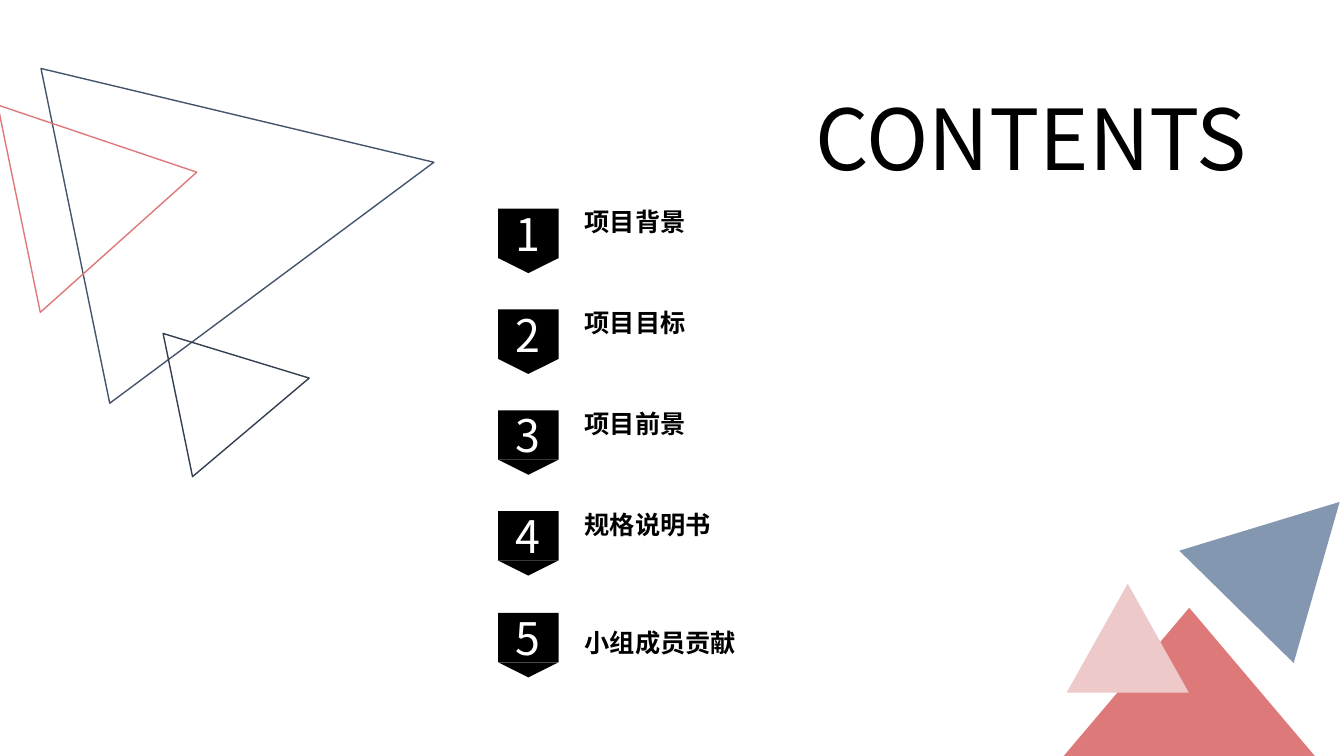
import pptx
import pptx.util
import pptx.dml.color
import pptx.enum.shapes
import pptx.enum.text
import pptx.oxml.ns
import lxml.etree

Inches = pptx.util.Inches
Align = pptx.enum.text.PP_ALIGN
Anchor = pptx.enum.text.MSO_ANCHOR
Preset = pptx.enum.shapes.MSO_SHAPE

COLOURS = {
    "black": "000000",
    "white": "FFFFFF",
    "slate": "44546A",
    "navy": "333F50",
    "coral": "DD7979",
    "pink": "EDC9C9",
    "blue": "8497B0",
}


class ContentsPage:
    font = "Noto Sans CJK SC"

    def __init__(self, deck):
        self.page = deck.slides.add_slide(deck.slide_layouts[6])

    def colour(self, name):
        return pptx.dml.color.RGBColor.from_string(COLOURS[name])

    def set_text(self, frame, text, size, colour, align, bold=False, spacing=None):
        para = frame.paragraphs[0]
        para.text = text
        para.alignment = align
        para.line_spacing = spacing
        para.font.name = self.font
        para.font.size = pptx.util.Pt(size)
        para.font.bold = bold
        para.font.color.rgb = self.colour(colour)
        # Chinese glyphs take the East Asian typeface
        qn = pptx.oxml.ns.qn
        latin = para._p.pPr.find(qn("a:defRPr")).find(qn("a:latin"))
        latin.addnext(lxml.etree.Element(qn("a:ea"), typeface=self.font))

    def shape(self, preset, bounds, fill=None, line=None, turn=0, parent=None):
        shapes = (parent or self.page).shapes
        shape = shapes.add_shape(preset, *map(Inches, bounds))
        shape.shadow.inherit = False
        shape.rotation = turn
        if fill:
            shape.fill.solid()
            shape.fill.fore_color.rgb = self.colour(fill)
        else:
            shape.fill.background()
        if line:
            shape.line.color.rgb = self.colour(line)
            shape.line.width = pptx.util.Pt(1)
        else:
            shape.line.fill.background()
        return shape

    def text(self, bounds, text, size, align, **style):
        box = self.page.shapes.add_textbox(*map(Inches, bounds))
        frame = box.text_frame
        frame.word_wrap = True
        frame.auto_size = pptx.enum.text.MSO_AUTO_SIZE.SHAPE_TO_FIT_TEXT
        self.set_text(frame, text, size, "black", align, **style)

    def badge(self, top, number):
        left, width, height, tip = 4.94, 0.6, 0.49, 0.15
        group = self.page.shapes.add_group_shape()
        body = self.shape(Preset.RECTANGLE, (left, top, width, height),
                          fill="black", parent=group)
        body.text_frame.vertical_anchor = Anchor.MIDDLE
        self.set_text(body.text_frame, str(number), 32, "white", Align.CENTER)
        self.shape(Preset.ISOSCELES_TRIANGLE, (left, top + height, width, tip),
                   fill="black", turn=180, parent=group)


def main():
    deck = pptx.Presentation()
    deck.slide_width = Inches(13.33)
    deck.slide_height = Inches(7.5)
    contents = ContentsPage(deck)

    # Outlined triangles, top left
    outlines = contents.page.shapes.add_group_shape()
    for bounds, line in [
        ((0.83, 0.16, 3.39, 3.63), "slate"),
        ((1.69, 3.22, 1.45, 1.33), "navy"),
        ((0.02, 0.99, 2.1, 1.8), "coral"),
    ]:
        contents.shape(Preset.ISOSCELES_TRIANGLE, bounds, line=line, turn=78.4,
                       parent=outlines)

    # Filled triangles, bottom right
    for bounds, fill, turn in [
        ((10.55, 6.03, 2.49, 1.47), "coral", 0),
        ((10.58, 5.79, 1.21, 1.08), "pink", 0),
        ((11.98, 4.77, 1.59, 1.46), "blue", 44.5),
    ]:
        contents.shape(Preset.ISOSCELES_TRIANGLE, bounds, fill=fill, turn=turn)

    # Title
    contents.text((7.64, 0.81, 5.17, 1.11), "CONTENTS", 60, Align.CENTER)

    # Numbered topics: four evenly spaced, the last one set lower
    topics = ["项目背景", "项目目标", "项目前景", "规格说明书", "小组成员贡献"]
    rows = [(2.07 + step, 1.91 + step) for step in range(4)] + [(6.08, 6.08)]
    for number, (topic, (badge_top, label_top)) in enumerate(zip(topics, rows), 1):
        contents.badge(badge_top, number)
        contents.text((5.7, label_top, 3.56, 0.46), topic, 18, Align.LEFT,
                      bold=True, spacing=1.3)

    deck.save("out.pptx")


if __name__ == "__main__":
    main()
